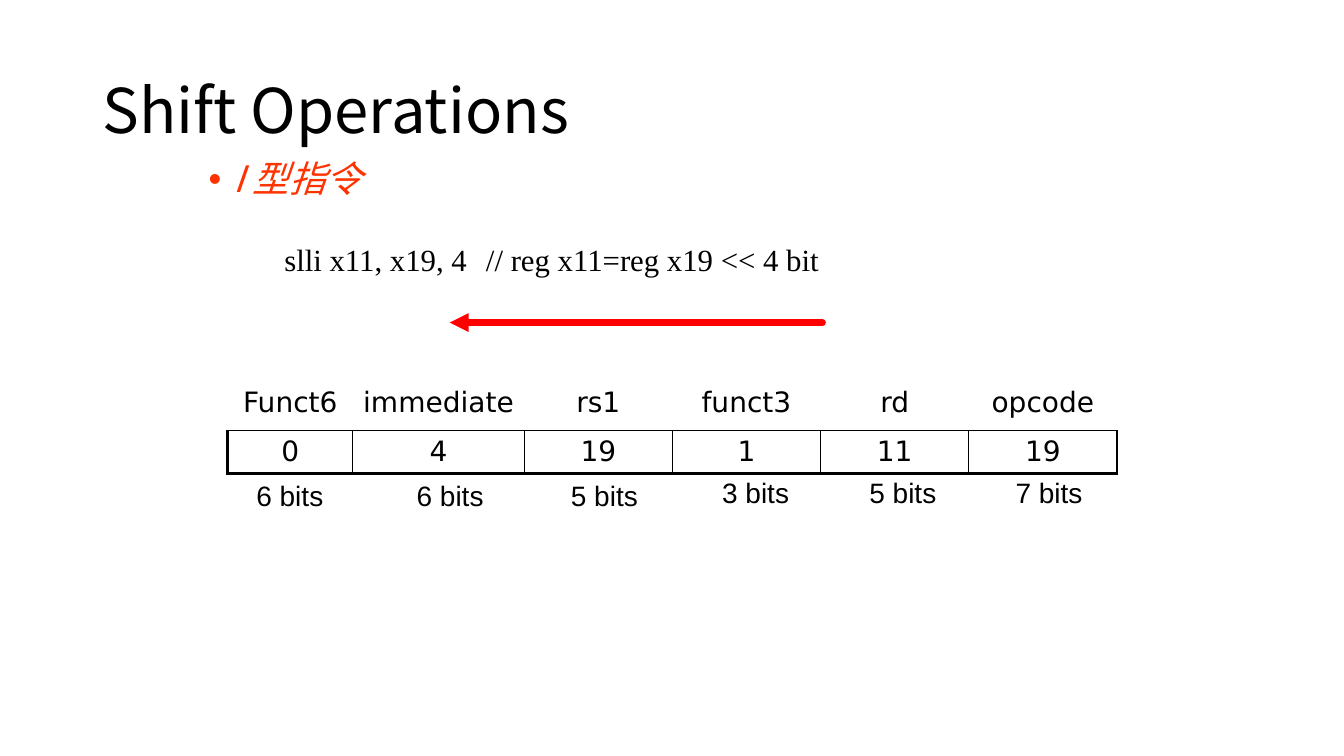
import dataclasses

import pptx
import pptx.dml.color
import pptx.enum.shapes
import pptx.enum.text
import pptx.oxml
import pptx.oxml.ns
import pptx.util

Inches = pptx.util.Inches
Pt = pptx.util.Pt
ALIGN = pptx.enum.text.PP_ALIGN
ANCHOR = pptx.enum.text.MSO_ANCHOR
AUTO_SIZE = pptx.enum.text.MSO_AUTO_SIZE
DRAWING_NS = pptx.oxml.ns.nsdecls("a")


@dataclasses.dataclass(frozen=True)
class Theme:
    ink: str = "000000"
    accent: str = "FF3300"
    arrow: str = "FF0000"
    heading_font: str = "Noto Sans CJK SC"
    code_font: str = "Times New Roman"
    field_font: str = "DejaVu Sans"
    width_font: str = "Arial"
    title_size: int = 44
    bullet_size: int = 26
    code_size: int = 22
    field_size: int = 20
    thin: float = 1
    thick: float = 2.25
    arrow_width: float = 4.5


THEME = Theme()

# Field name, value, column width
FIELDS = [
    ("Funct6", "0", 1.24),
    ("immediate", "4", 1.7),
    ("rs1", "19", 1.47),
    ("funct3", "1", 1.47),
    ("rd", "11", 1.47),
    ("opcode", "19", 1.47),
]
# Field width, left, top
BIT_WIDTHS = [
    ("6 bits", 2.44, 4.7),
    ("6 bits", 4.03, 4.7),
    ("5 bits", 5.56, 4.7),
    ("3 bits", 7.06, 4.67),
    ("5 bits", 8.52, 4.67),
    ("7 bits", 9.97, 4.67),
]


def xml(markup):
    return pptx.oxml.parse_xml(markup)


def add_run(paragraph, text, font, size, color, italic=False):
    run = paragraph.add_run()
    run.text = text
    run.font.name = font
    run.font.size = Pt(size)
    run.font.bold = False
    run.font.italic = italic
    run.font.color.rgb = pptx.dml.color.RGBColor.from_string(color)
    run.font._element.append(xml(f'<a:ea {DRAWING_NS} typeface="{font}"/>'))


def place(shape, left, top, width, height):
    shape.left, shape.top = Inches(left), Inches(top)
    shape.width, shape.height = Inches(width), Inches(height)


def set_list_style(paragraph, margin, space_before, bullet=None):
    """Hanging indent of a quarter inch, with or without a bullet."""
    paragraph.alignment = ALIGN.LEFT
    paragraph.line_spacing = 0.9
    paragraph.space_before = Pt(space_before)
    properties = paragraph._p.get_or_add_pPr()
    properties.set("marL", str(Inches(margin)))
    properties.set("indent", str(Inches(-0.25)))
    if bullet:
        properties.append(xml(f'<a:buFont {DRAWING_NS} typeface="Arial"/>'))
        properties.append(xml(f'<a:buChar {DRAWING_NS} char="{bullet}"/>'))
    else:
        properties.append(xml(f"<a:buNone {DRAWING_NS}/>"))


def fill_title(title):
    place(title, 0.92, 0.4, 11.5, 1.45)
    frame = title.text_frame
    frame.auto_size = AUTO_SIZE.NONE
    frame.vertical_anchor = ANCHOR.MIDDLE
    heading = frame.paragraphs[0]
    heading.alignment = ALIGN.LEFT
    heading.line_spacing = 0.9
    add_run(heading, "Shift Operations", THEME.heading_font, THEME.title_size, THEME.ink)


def fill_body(body):
    place(body, 1.97, 1.55, 9.69, 4.17)
    frame = body.text_frame
    frame.auto_size = AUTO_SIZE.NONE
    format_name = frame.paragraphs[0]
    set_list_style(format_name, 0.25, 10, "•")
    add_run(format_name, "I 型指令", THEME.heading_font, THEME.bullet_size,
            THEME.accent, italic=True)
    instruction = frame.add_paragraph()
    instruction.level = 1
    set_list_style(instruction, 0.75, 32)
    add_run(instruction, "\tslli x11, x19, 4\t// reg x11=reg x19 << 4 bit",
            THEME.code_font, THEME.code_size, THEME.ink)


def add_arrow(slide, start_x, end_x, y):
    arrow = slide.shapes.add_connector(
        pptx.enum.shapes.MSO_CONNECTOR.STRAIGHT,
        Inches(start_x), Inches(y), Inches(end_x), Inches(y))
    arrow.line.color.rgb = pptx.dml.color.RGBColor.from_string(THEME.arrow)
    arrow.line.width = Pt(THEME.arrow_width)
    outline = arrow.line._get_or_add_ln()
    outline.set("cap", "rnd")
    outline.append(xml(f"<a:round {DRAWING_NS}/>"))
    outline.append(xml(f'<a:tailEnd {DRAWING_NS} type="triangle"/>'))
    arrow._element.spPr.append(xml(f"<a:effectLst {DRAWING_NS}/>"))


def set_borders(cell, **widths):
    """Draw the given sides (L, R, T, B), widths in points."""
    properties = cell._tc.get_or_add_tcPr()
    sides = [side for side in "LRTB" if side in widths]
    for position, side in enumerate(sides):
        properties.insert(position, xml(
            f'<a:ln{side} {DRAWING_NS} w="{Pt(widths[side])}"><a:solidFill>'
            f'<a:srgbClr val="{THEME.ink}"/></a:solidFill></a:ln{side}>'))


def fill_cell(cell, text):
    cell.fill.background()
    cell.vertical_anchor = ANCHOR.TOP
    paragraph = cell.text_frame.paragraphs[0]
    paragraph.alignment = ALIGN.CENTER
    add_run(paragraph, text, THEME.field_font, THEME.field_size, THEME.ink)


def add_format_table(slide):
    table = slide.shapes.add_table(
        2, len(FIELDS), Inches(2.26), Inches(3.78), Inches(8.82), Inches(0.92)).table
    table.first_row = table.horz_banding = False
    table.rows[0].height, table.rows[1].height = Inches(0.49), Inches(0.43)
    last = len(FIELDS) - 1
    for column, (name, value, width) in enumerate(FIELDS):
        table.columns[column].width = Inches(width)
        name_cell, value_cell = table.cell(0, column), table.cell(1, column)
        fill_cell(name_cell, name)
        fill_cell(value_cell, value)
        set_borders(name_cell, B=THEME.thin)
        set_borders(value_cell, T=THEME.thin, B=THEME.thick,
                    L=THEME.thick if column == 0 else THEME.thin,
                    R=THEME.thick if column == last else THEME.thin)


def add_bit_width(slide, text, left, top):
    label = slide.shapes.add_textbox(Inches(left), Inches(top), Inches(0.87), Inches(0.44))
    frame = label.text_frame
    frame.word_wrap = False
    frame.auto_size = AUTO_SIZE.SHAPE_TO_FIT_TEXT
    frame.paragraphs[0].alignment = ALIGN.CENTER
    add_run(frame.paragraphs[0], text, THEME.width_font, THEME.field_size, THEME.ink)


def main():
    deck = pptx.Presentation()
    deck.slide_width, deck.slide_height = Inches(13.33), Inches(7.5)
    slide = deck.slides.add_slide(deck.slide_layouts[1])

    # Heading and instruction
    fill_title(slide.shapes.title)
    fill_body(slide.placeholders[1])

    # Direction of the shift
    add_arrow(slide, 8.16, 4.46, 3.2)

    # Instruction format with field widths
    add_format_table(slide)
    for text, left, top in BIT_WIDTHS:
        add_bit_width(slide, text, left, top)

    deck.save("out.pptx")


if __name__ == "__main__":
    main()
